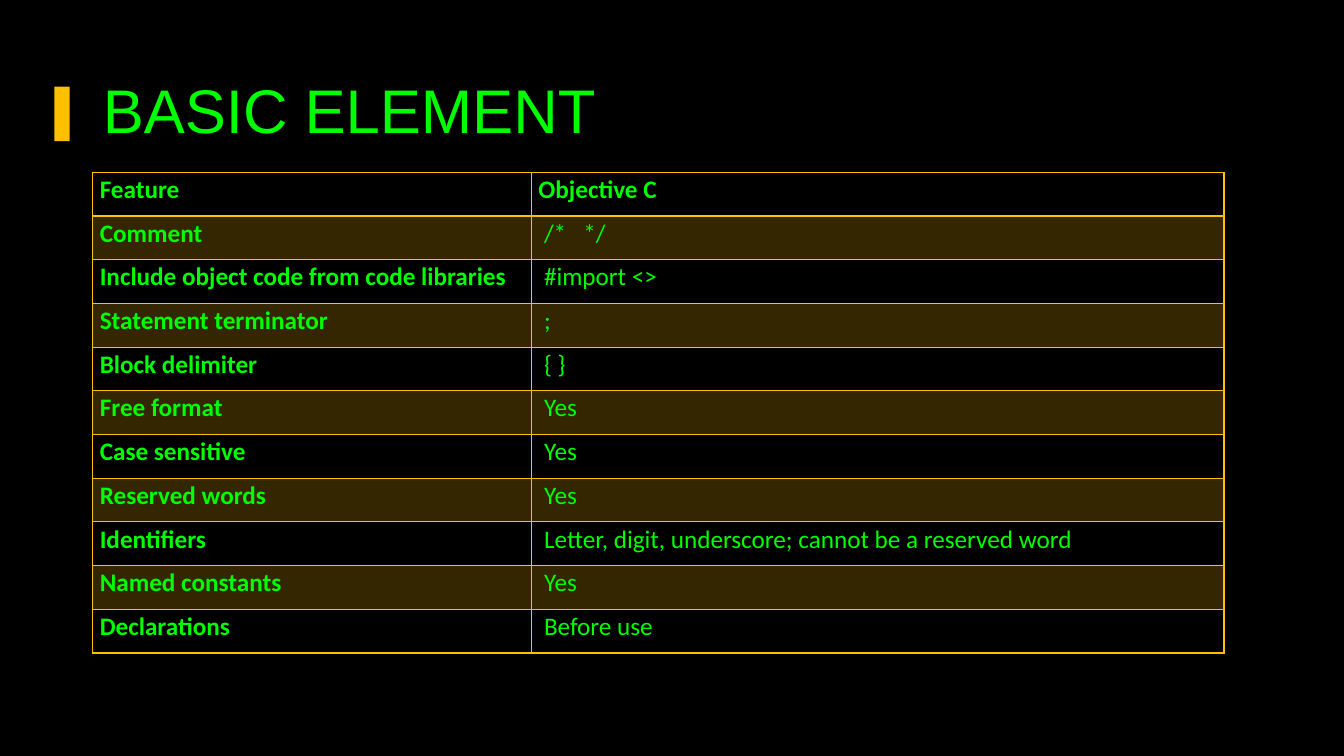
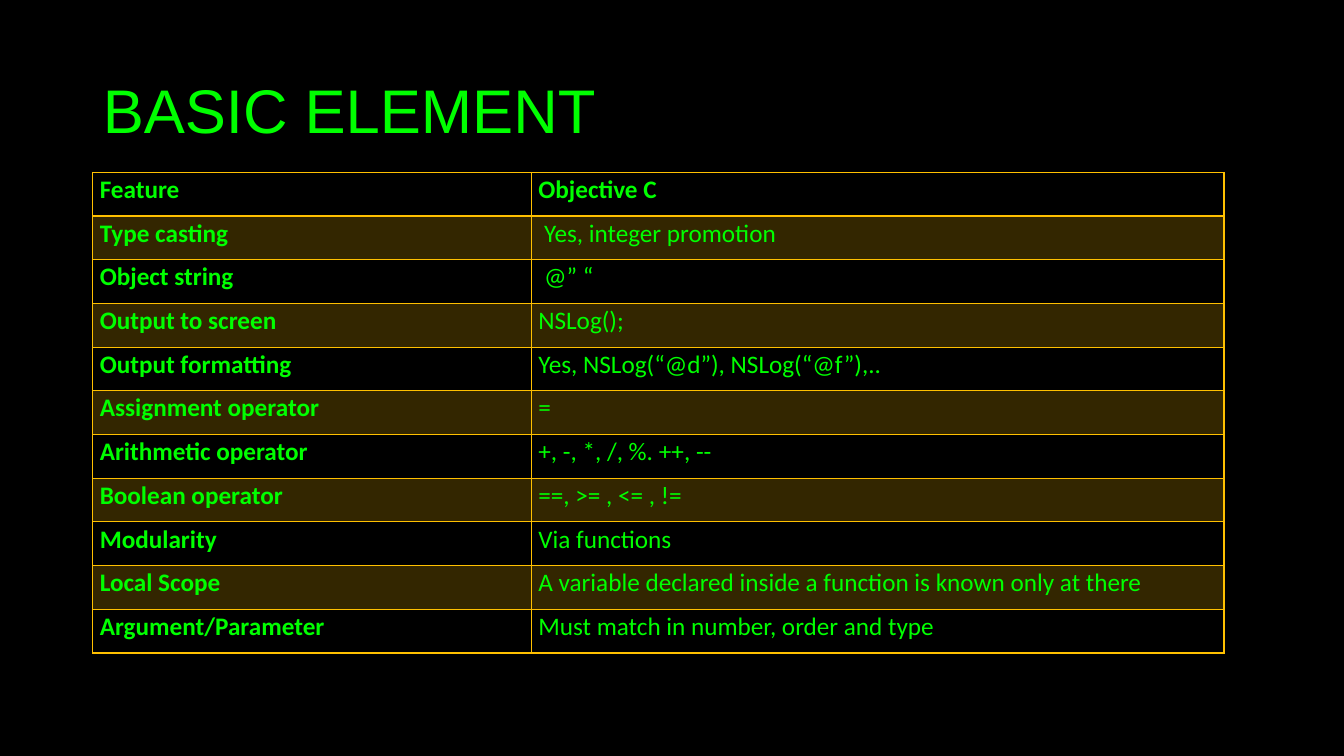
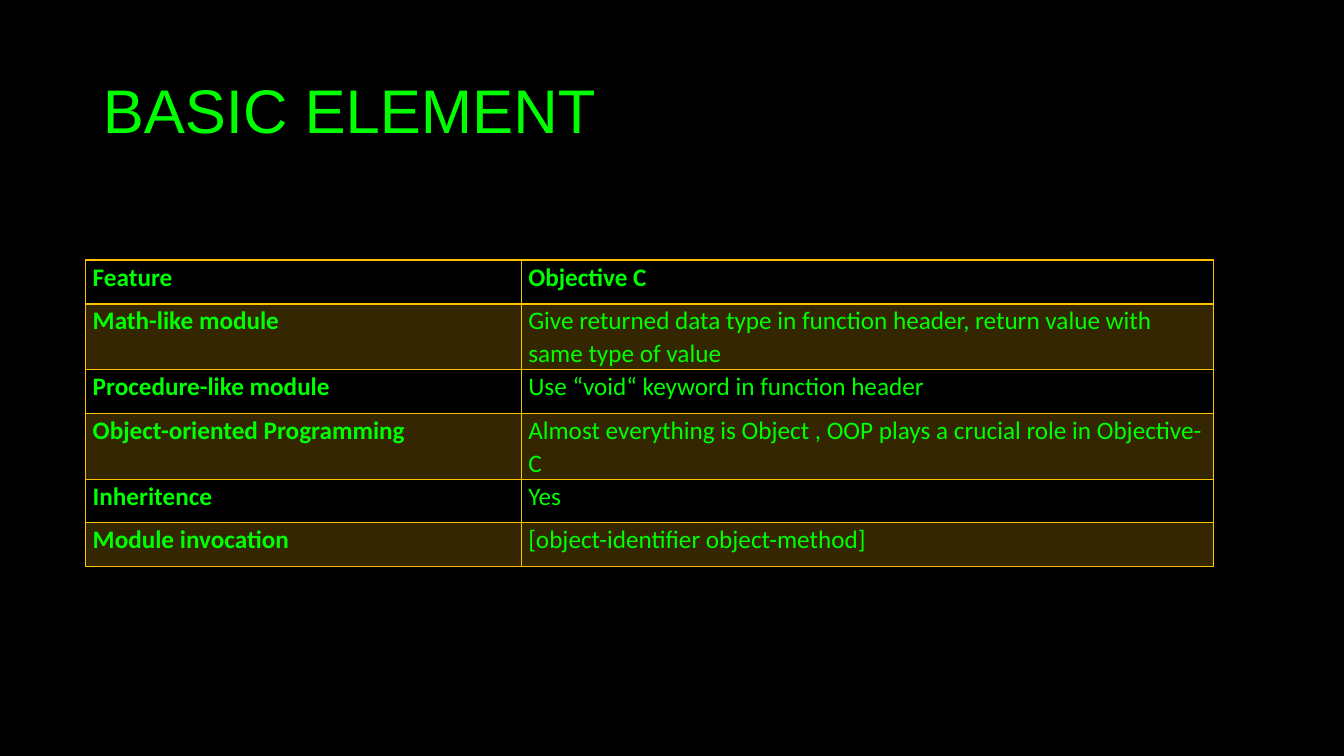
from dataclasses import dataclass

from lxml import etree
from pptx import Presentation
from pptx import util as u
from pptx.dml.color import RGBColor
from pptx.enum import shapes, text
from pptx.oxml import ns


@dataclass(frozen=True)
class Theme:
    background: RGBColor = RGBColor(0x00, 0x00, 0x00)
    ink: RGBColor = RGBColor(0x00, 0xFF, 0x00)
    accent: RGBColor = RGBColor(0xFF, 0xC0, 0x00)
    band_alpha: int = 20
    title_font: str = "Arial"
    title_size: u.Pt = u.Pt(44)
    table_font: str = "Calibri"
    table_size: u.Pt = u.Pt(18)


theme = Theme()
ROW_HEIGHT = u.Inches(4.77) // 11
HEADER = ("Feature", "Objective C")


def style_text(para, font, size, spacing):
    para.alignment = text.PP_ALIGN.LEFT
    para.line_spacing = spacing
    para.font.name = font
    para.font.size = size
    para.font.color.rgb = theme.ink


def add_border(cell, side, points):
    line = etree.SubElement(cell._tc.get_or_add_tcPr(), ns.qn(f"a:ln{side}"),
                            w=str(u.Pt(points)))
    fill = etree.SubElement(line, ns.qn("a:solidFill"))
    etree.SubElement(fill, ns.qn("a:srgbClr"), val=str(theme.accent))


# Content: left, top, first column width, show marker, body rows
slides = [
    (0.92, 1.71, 4.35, True, [
        ("Comment", "\u00a0/*   */"),
        ("Include object code from code libraries", "\u00a0#import <>"),
        ("Statement terminator", "\u00a0;"),
        ("Block delimiter", "\u00a0{ }"),
        ("Free format", "\u00a0Yes"),
        ("Case sensitive", "\u00a0Yes"),
        ("Reserved words", "\u00a0Yes"),
        ("Identifiers", "\u00a0Letter, digit, underscore; cannot be a reserved word"),
        ("Named constants", "\u00a0Yes"),
        ("Declarations", "\u00a0Before use"),
    ]),
    (0.92, 1.71, 4.35, False, [
        ("Type casting", "\u00a0Yes, integer promotion"),
        ("Object string", "\u00a0@” “"),
        ("Output to screen", "NSLog();"),
        ("Output formatting", "Yes, NSLog(“@d”), NSLog(“@f”),.."),
        ("Assignment operator", "="),
        ("Arithmetic operator", "+, -, *, /, %. ++, --"),
        ("Boolean operator", "==, >= , <= , !="),
        ("Modularity", "Via functions"),
        ("Local Scope", "A variable declared inside a function is known only at there"),
        ("Argument/Parameter", "Must match in number, order and type"),
    ]),
    (0.85, 2.58, 4.32, False, [
        ("Math-like module", "Give returned data type in function header, "
                             "return value with same type of value"),
        ("Procedure-like module", "Use “void“ keyword in function header"),
        ("Object-oriented Programming", "Almost everything is Object , OOP plays "
                                        "a crucial role in Objective-C"),
        ("Inheritence", "Yes"),
        ("Module invocation", "[object-identifier object-method]"),
    ]),
]

# Deck and shared background
deck = Presentation()
deck.slide_width, deck.slide_height = u.Inches(13.33), u.Inches(7.5)
backdrop = deck.slide_master.background.fill
backdrop.solid()
backdrop.fore_color.rgb = theme.background

for left, top, feature_width, has_marker, body in slides:
    page = deck.slides.add_slide(deck.slide_layouts[5])

    # Title
    title = page.shapes.title
    title.left, title.top = u.Inches(0.92), u.Inches(0.4)
    title.width, title.height = u.Inches(11.5), u.Inches(1.45)
    title.text_frame.text = "BASIC ELEMENT"
    title.text_frame.vertical_anchor = text.MSO_ANCHOR.MIDDLE
    style_text(title.text_frame.paragraphs[0], theme.title_font, theme.title_size, 0.9)

    # Feature table
    rows = [HEADER, *body]
    widths = [u.Inches(feature_width), u.Inches(6.87)]
    table = page.shapes.add_table(len(rows), 2, u.Inches(left), u.Inches(top),
                                  sum(widths), ROW_HEIGHT * len(rows)).table
    table.first_row = table.horz_banding = False
    for column, width in zip(table.columns, widths):
        column.width = width
    for row_index, row in enumerate(rows):
        table.rows[row_index].height = ROW_HEIGHT
        for column_index, wording in enumerate(row):
            cell = table.cell(row_index, column_index)
            cell.margin_left = cell.margin_right = u.Inches(0.07)
            cell.margin_top = cell.margin_bottom = 0
            cell.text = wording
            para = cell.text_frame.paragraphs[0]
            style_text(para, theme.table_font, theme.table_size, 1.07)
            para.space_after = u.Pt(8)
            para.font.bold = row_index == 0 or column_index == 0

            # Borders go before the fill in the cell properties
            for side in "LRTB":
                add_border(cell, side, 2 if row_index == 0 and side == "B" else 1)
            if row_index % 2:
                cell.fill.solid()
                cell.fill.fore_color.rgb = theme.accent
                colour = cell._tc.tcPr.find(f"{ns.qn('a:solidFill')}/{ns.qn('a:srgbClr')}")
                etree.SubElement(colour, ns.qn("a:alpha"), val=str(theme.band_alpha * 1000))
            else:
                cell.fill.background()

    # Marker beside the first title
    if has_marker:
        marker = page.shapes.add_shape(shapes.MSO_SHAPE.RECTANGLE, u.Inches(0.54),
                                       u.Inches(0.86), u.Inches(0.15), u.Inches(0.54))
        marker.shadow.inherit = False
        marker.fill.solid()
        marker.fill.fore_color.rgb = theme.accent
        marker.line.fill.background()

deck.save("out.pptx")
